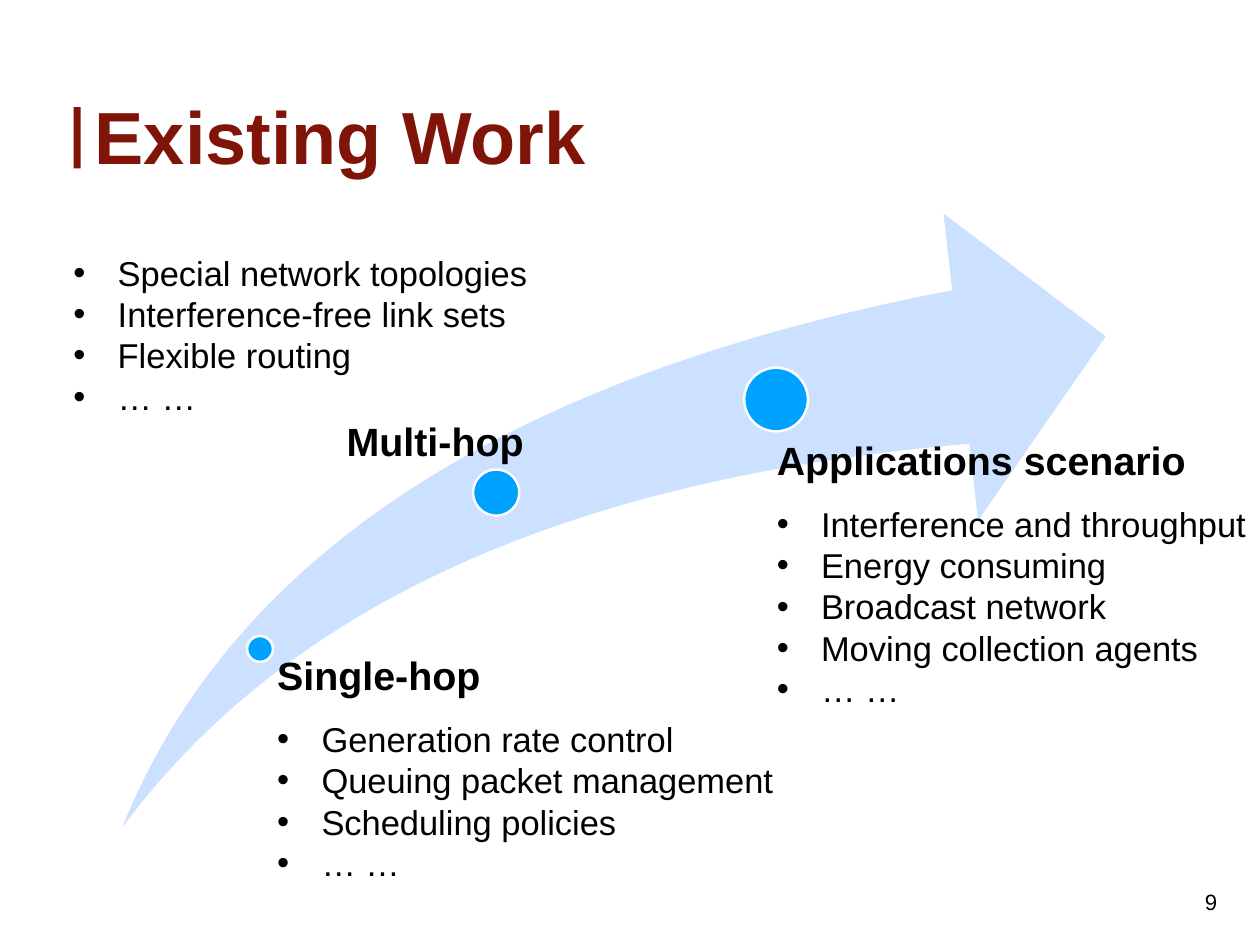
from dataclasses import dataclass

from lxml.etree import SubElement
from pptx import Presentation
from pptx.dml.color import RGBColor
from pptx.enum.shapes import MSO_SHAPE as Form
from pptx.enum.text import MSO_ANCHOR as Anchor, PP_ALIGN as Align
from pptx.oxml.ns import qn
from pptx.slide import Slide
from pptx.util import Pt

RED, PALE, BLUE, WHITE, BLACK = "811408", "CCE0FF", "00A2FF", "FFFFFF", "000000"
Box = tuple[float, float, float, float]


@dataclass
class Line:
    text: str
    size: float = 28
    bold: bool = False
    color: str = BLACK
    bullet: bool = False
    indent: float = 0
    after: float = 0


@dataclass
class Dot:
    x: float
    y: float
    size: float


@dataclass
class Block:
    box: Box
    lines: list[Line]


def paint(target, color: str) -> None:
    """Set a solid colour on a fill."""
    target.solid()
    target.fore_color.rgb = RGBColor.from_string(color)


def add_form(slide: Slide, kind: Form, box: Box, color: str, edge: str = ""):
    form = slide.shapes.add_shape(kind, *map(Pt, box))
    form.shadow.inherit = False
    paint(form.fill, color)
    if edge:
        paint(form.line.fill, edge)
        form.line.width = Pt(2)
    else:
        form.line.fill.background()
    return form


def add_text(slide: Slide, box: Box, lines: list[Line], *, align: Align = Align.LEFT,
             pad: tuple[float, float] = (7.2, 3.6), wrap: bool = True) -> None:
    frame = slide.shapes.add_textbox(*map(Pt, box)).text_frame
    frame.word_wrap = wrap
    frame.vertical_anchor = Anchor.TOP
    frame.margin_left = frame.margin_right = Pt(pad[0])
    frame.margin_top = frame.margin_bottom = Pt(pad[1])
    for i, line in enumerate(lines):
        para = frame.add_paragraph() if i else frame.paragraphs[0]
        para.alignment = align
        para.space_after = Pt(line.after)
        run = para.add_run()
        run.text = line.text
        font = run.font
        font.name, font.size, font.bold = "Arial", Pt(line.size), line.bold
        paint(font.fill, line.color)
        props = para._p.get_or_add_pPr()
        if line.bullet:
            props.set("marL", str(Pt(36)))
            props.set("indent", str(Pt(-36)))
            SubElement(props, qn("a:buFont"), typeface="Arial")
            SubElement(props, qn("a:buChar"), char="•")
        elif line.indent:
            props.set("marL", str(Pt(line.indent)))


def head(text: str, indent: float = 0, after: float = 0) -> Line:
    return Line(text, 32, True, indent=indent, after=after)


def items(*texts: str) -> list[Line]:
    return [Line(text, bullet=True) for text in (*texts, "… …")]


DOTS = [Dot(211.3, 527.4, 21), Dot(403.2, 400.3, 37.5), Dot(630.7, 324.7, 51.8)]
BLOCKS = [
    Block((218.2, 525.6, 763, 242.4),
          [head("Single-hop", after=16),
           *items("Generation rate control", "Queuing packet management",
                  "Scheduling policies")]),
    Block((52.6, 200.9, 414.7, 181.4),
          [*items("Special network topologies", "Interference-free link sets",
                  "Flexible routing"),
           head("Multi-hop", indent=222)]),
    Block((624.2, 350.6, 399.6, 310.3),
          [head("Applications scenario", after=16),
           *items("Interference and throughput", "Energy consuming",
                  "Broadcast network", "Moving collection agents")]),
]


def main() -> None:
    deck = Presentation()
    deck.slide_width, deck.slide_height = Pt(1024), Pt(768)
    slide = deck.slides.add_slide(deck.slide_layouts[6])
    paint(slide.background.fill, WHITE)

    add_text(slide, (72.7, 69.8, 514, 80.6),
             [Line("Existing Work", 60, True, RED)], pad=(4.3, 4.3))
    swoosh = add_form(slide, Form.SWOOSH_ARROW, (99.4, 173.5, 799.2, 499), PALE)
    swoosh.adjustments[0] = swoosh.adjustments[1] = 0.25
    for dot in DOTS:
        box = (dot.x - dot.size / 2, dot.y - dot.size / 2, dot.size, dot.size)
        add_form(slide, Form.OVAL, box, BLUE, WHITE)
    for block in BLOCKS:
        add_text(slide, block.box, block.lines)
    add_form(slide, Form.RECTANGLE, (59.8, 87.1, 5.8, 49.7), RED)
    add_text(slide, (969.1, 717.8, 30.2, 30.2), [Line("9", 18)],
             align=Align.CENTER, pad=(4.3, 4.3), wrap=False)
    deck.save("out.pptx")


if __name__ == "__main__":
    main()
